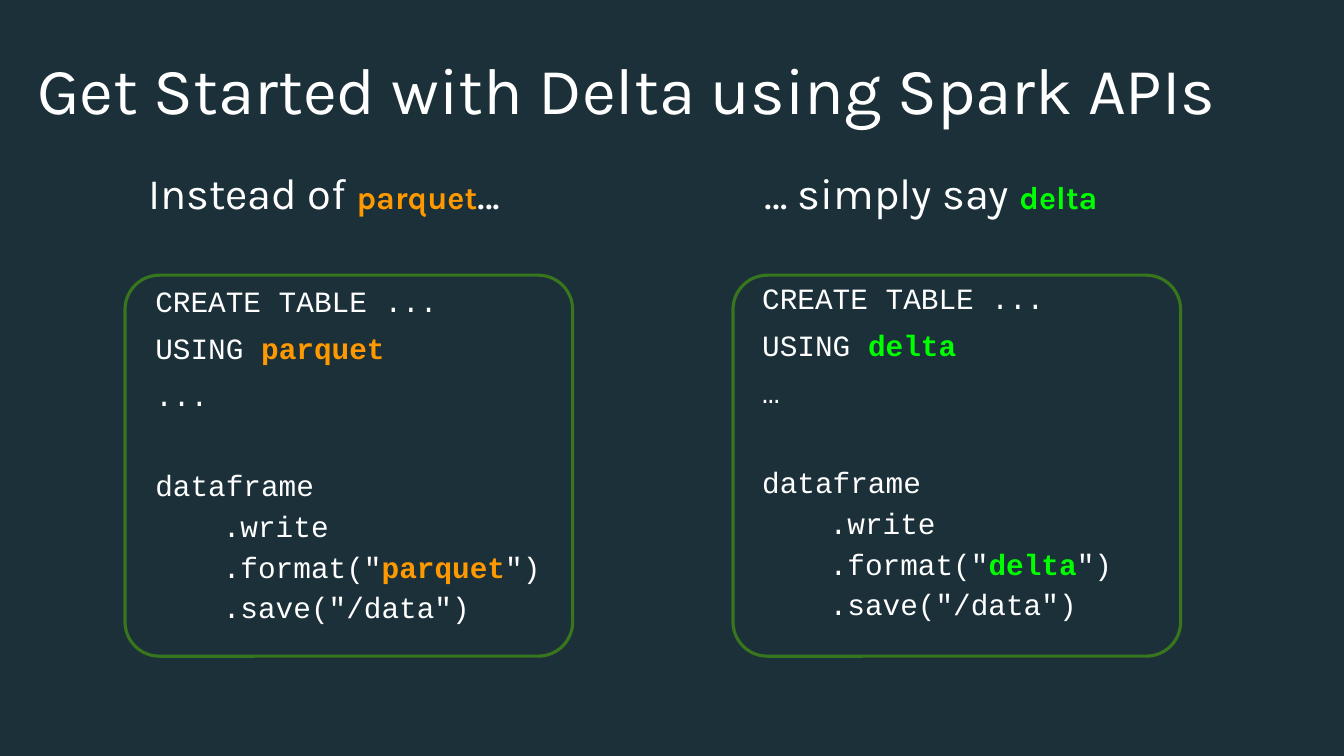
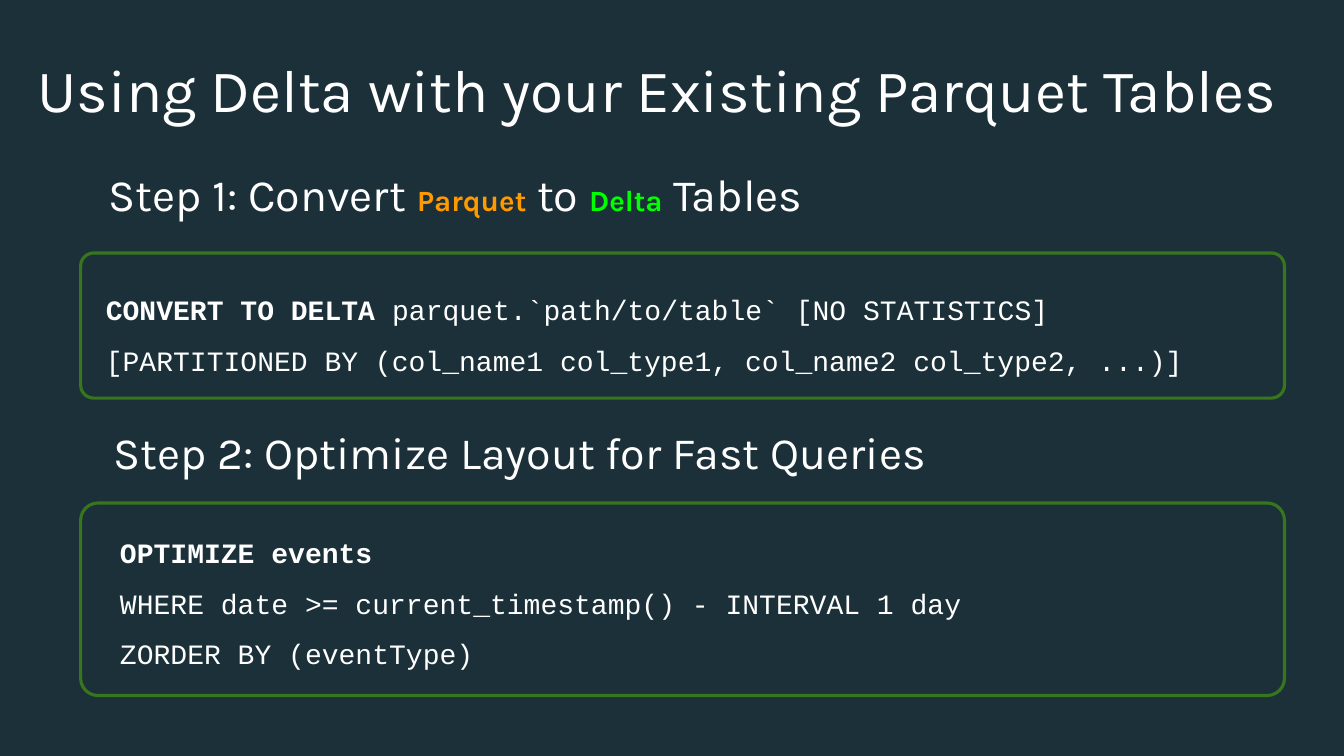
"""Build two slides on moving from parquet to delta tables."""
from dataclasses import dataclass

from pptx import Presentation
from pptx.dml.color import RGBColor
from pptx.enum.shapes import MSO_SHAPE
from pptx.enum.text import MSO_ANCHOR
from pptx.util import Inches, Pt


@dataclass(frozen=True)
class Theme:
    back: str = "1B3038"
    white: str = "FFFFFF"
    green: str = "38761D"
    lime: str = "00FF00"
    orange: str = "FF9900"
    sans: str = "Karla"
    mono: str = "Courier New"
    title: int = 47
    long_title: int = 43
    head: int = 31
    step: int = 32
    head_key: int = 23
    step_key: int = 21
    code: int = 21
    query: int = 20
    edge: float = 2.25


THEME = Theme()


def span(text, **form):
    return text, form


def line(*spans, indent=0, lead=1.0, before=0):
    return spans, indent, lead, before


def write(para, text, font=THEME.sans, size=20, color=THEME.white, bold=False):
    run = para.add_run()
    run.text = text
    run.font.name = font
    run.font.size = Pt(size)
    run.font.color.rgb = RGBColor.from_string(color)
    run.font.bold = bold


class Deck:
    def __init__(self, theme):
        self.theme = theme
        self.show = Presentation()
        self.show.slide_width = Inches(13.33)
        self.show.slide_height = Inches(7.5)
        fill = self.show.slide_master.background.fill
        fill.solid()
        fill.fore_color.rgb = RGBColor.from_string(theme.back)
        self.slide = None

    def page(self):
        self.slide = self.show.slides.add_slide(self.show.slide_layouts[6])

    def panel(self, *place):
        box = self.slide.shapes.add_shape(
            MSO_SHAPE.ROUNDED_RECTANGLE, *map(Inches, place))
        box.adjustments[0] = 0.09
        box.shadow.inherit = False
        box.fill.background()
        box.line.color.rgb = RGBColor.from_string(self.theme.green)
        box.line.width = Pt(self.theme.edge)

    def text(self, place, lines, pad=(0, 0.05), anchor=MSO_ANCHOR.TOP, **form):
        frame = self.slide.shapes.add_textbox(*map(Inches, place)).text_frame
        frame.word_wrap = True
        frame.vertical_anchor = anchor
        frame.margin_left = frame.margin_right = Inches(pad[0])
        frame.margin_top = frame.margin_bottom = Inches(pad[1])
        for row, (spans, indent, lead, before) in enumerate(lines):
            para = frame.add_paragraph() if row else frame.paragraphs[0]
            para.line_spacing = lead
            if row and before:
                para.space_before = Pt(before)
            if indent:
                props = para._p.get_or_add_pPr()
                props.set("marL", str(Inches(indent)))
                props.set("indent", "0")
            for text, own in spans:
                write(para, text, **{**form, **own})

    def title(self, text, width, size):
        self.text((0.37, 0.3, width, 1.25), [line(span(text), lead=0.9)],
                  anchor=MSO_ANCHOR.MIDDLE, size=size)

    def head(self, place, *spans, size):
        self.text(place, [line(*spans)], pad=(0.13, 0.13), size=size)

    def code(self, place, lines, size, **form):
        self.text(place, lines, font=self.theme.mono, size=size, **form)


def sample(name, color, dots):
    key = span(name, color=color, bold=True)
    top = [[span("CREATE TABLE ...")], [span("USING "), key], [span(dots)]]
    calls = [[span(".write")], [span('.format("'), key, span('")')],
             [span('.save("/data")')]]
    return ([line(*spans, lead=0.9, before=11) for spans in top]
            + [line(span("dataframe"), lead=1.15, before=35)]
            + [line(*spans, lead=1.15, indent=0.67) for spans in calls])


def start(deck):
    look = deck.theme
    deck.page()
    for left in (1.24, 7.27):
        deck.panel(left, 2.73, 4.44, 3.78)
    deck.title("Get Started with Delta using Spark APIs", 12.48, look.title)
    deck.code((1.54, 2.8, 4.29, 3.57),
              sample("parquet", look.orange, "..."), look.code)
    deck.code((7.56, 2.77, 4.44, 3.68),
              sample("delta", look.lime, "…"), look.code)
    key = {"size": look.head_key, "bold": True}
    deck.head((1.34, 1.52, 4.44, 0.87), span("Instead of "),
              span("parquet", color=look.orange, **key), span("..."),
              size=look.head)
    deck.head((7.45, 1.52, 4.21, 0.87), span("… simply say "),
              span("delta", color=look.lime, **key), size=look.head)


def convert(deck):
    look = deck.theme
    deck.page()
    for top, height in ((2.51, 1.44), (4.99, 1.91)):
        deck.panel(0.8, top, 11.94, height)
    deck.title("Using Delta with your Existing Parquet Tables",
               12.74, look.long_title)
    key = {"size": look.step_key, "bold": True}
    deck.head((0.95, 1.52, 8.21, 0.87), span("Step 1: Convert "),
              span("Parquet", color=look.orange, **key), span(" to "),
              span("Delta", color=look.lime, **key), span(" Tables"),
              size=look.step)
    deck.head((1, 4.08, 11.22, 0.8),
              span("Step 2: Optimize Layout for Fast Queries"), size=look.step)
    form = {"indent": 0.17, "lead": 1.5}
    deck.code((0.88, 2.69, 12.05, 1.55), [
        line(span("CONVERT TO DELTA", bold=True),
             span(" parquet.`path/to/table` [NO STATISTICS]"), **form),
        line(span("[PARTITIONED BY (col_name1 col_type1, "
                  "col_name2 col_type2, ...)]"), **form),
    ], look.query)
    deck.code((0.89, 5.02, 9.61, 1.83), [
        line(span("OPTIMIZE events", bold=True), **form),
        line(span("WHERE date >= current_timestamp() - INTERVAL 1 day"), **form),
        line(span("ZORDER BY (eventType)"), **form),
    ], look.query, pad=(0.13, 0.13))


def main():
    deck = Deck(THEME)
    start(deck)
    convert(deck)
    deck.show.save("out.pptx")


if __name__ == "__main__":
    main()
